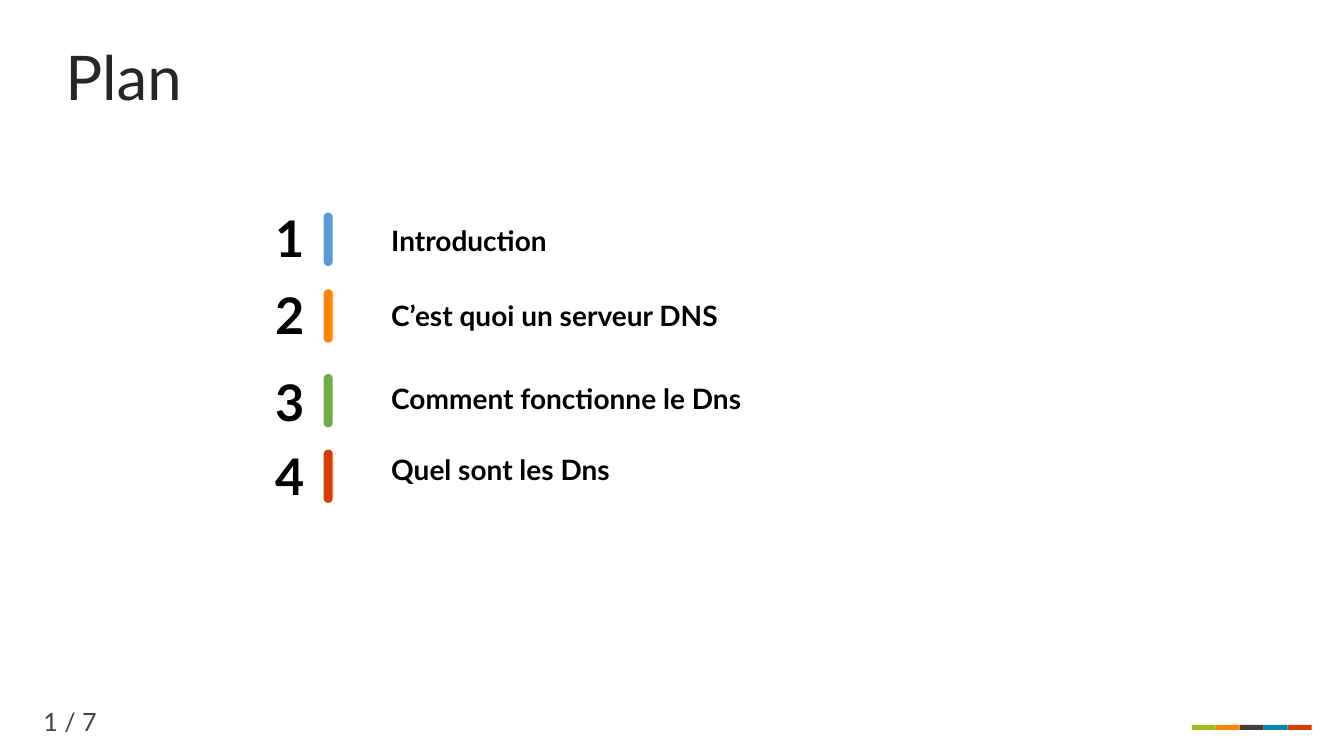
from collections import namedtuple

from pptx import Presentation
from pptx.dml.color import RGBColor
from pptx.enum.shapes import MSO_SHAPE
from pptx.enum.text import MSO_ANCHOR, PP_ALIGN
from pptx.util import Emu, Pt

PX = 9144  # 100 px to the inch
FONT = "Lato"

Box = namedtuple("Box", "left top width height")
Entry = namedtuple("Entry", "title color number_top bar_top title_top")

AGENDA = Box(253, 195, 1031, 318)
# Tops are measured from the top of the agenda.
ENTRIES = [
    Entry("Introduction", "5B9BD5", 0, 16, 15),
    Entry("C’est quoi un serveur DNS", "FE8301", 77, 92, 89),
    Entry("Comment fonctionne le Dns", "70AD47", 163, 176, 171),
    Entry("Quel sont les Dns", "D43E01", 237, 251, 242),
]
STRIPE_COLORS = ["A1BC1F", "FF8504", "404040", "0184AA", "D73C05"]


def px(length):
    return Emu(round(length * PX))


def rgb(color):
    return RGBColor.from_string(color)


def add_text(page, box, text, size, color="000000", bold=False, inset=(10, 5),
             wrap=True, anchor=MSO_ANCHOR.TOP, align=PP_ALIGN.LEFT, line_spacing=1.0):
    frame = page.shapes.add_textbox(*map(px, box)).text_frame
    frame.word_wrap = wrap
    frame.vertical_anchor = anchor
    frame.margin_left = frame.margin_right = px(inset[0])
    frame.margin_top = frame.margin_bottom = px(inset[1])
    para = frame.paragraphs[0]
    para.alignment = align
    para.line_spacing = line_spacing
    span = para.add_run()
    span.text = text
    span.font.name = FONT
    span.font.size = Pt(size)
    span.font.bold = bold
    span.font.color.rgb = rgb(color)


def add_block(page, kind, box, color):
    block = page.shapes.add_shape(kind, *map(px, box))
    block.shadow.inherit = False
    block.fill.solid()
    block.fill.fore_color.rgb = rgb(color)
    block.line.fill.background()
    return block


def add_entry(page, box, number, entry):
    """Place one numbered agenda line inside the agenda box."""
    number_width, bar_width, title_left = 68, 9, 111
    add_text(page, Box(box.left, box.top + entry.number_top, number_width, 81),
             str(number), 36, bold=True, inset=(20, 10), wrap=False)
    bar = add_block(page, MSO_SHAPE.ROUND_2_SAME_RECTANGLE,
                    Box(box.left + number_width, box.top + entry.bar_top, bar_width, 53),
                    entry.color)
    bar.adjustments[0] = bar.adjustments[1] = 0.5
    add_text(page, Box(box.left + title_left, box.top + entry.title_top,
                       box.width - title_left, 58),
             entry.title, 20, bold=True, inset=(24, 12))


def add_agenda(page, box):
    for number, entry in enumerate(ENTRIES, start=1):
        add_entry(page, box, number, entry)


def add_stripe(page, box):
    width = box.width / len(STRIPE_COLORS)
    for index, color in enumerate(STRIPE_COLORS):
        add_block(page, MSO_SHAPE.RECTANGLE,
                  Box(box.left + index * width, box.top, width, box.height), color)


def main():
    deck = Presentation()
    deck.slide_width, deck.slide_height = px(1333), px(750)
    page = deck.slides.add_slide(deck.slide_layouts[6])
    add_text(page, Box(55, 42, 1204, 70), "Plan", 44, "262626", line_spacing=0.9)
    add_agenda(page, AGENDA)
    add_text(page, Box(25, 691, 89, 50), "1 / 7", 18, "404040",
             anchor=MSO_ANCHOR.MIDDLE, align=PP_ALIGN.CENTER)
    add_stripe(page, Box(1182, 719, 119, 5))
    deck.save("out.pptx")


if __name__ == "__main__":
    main()
